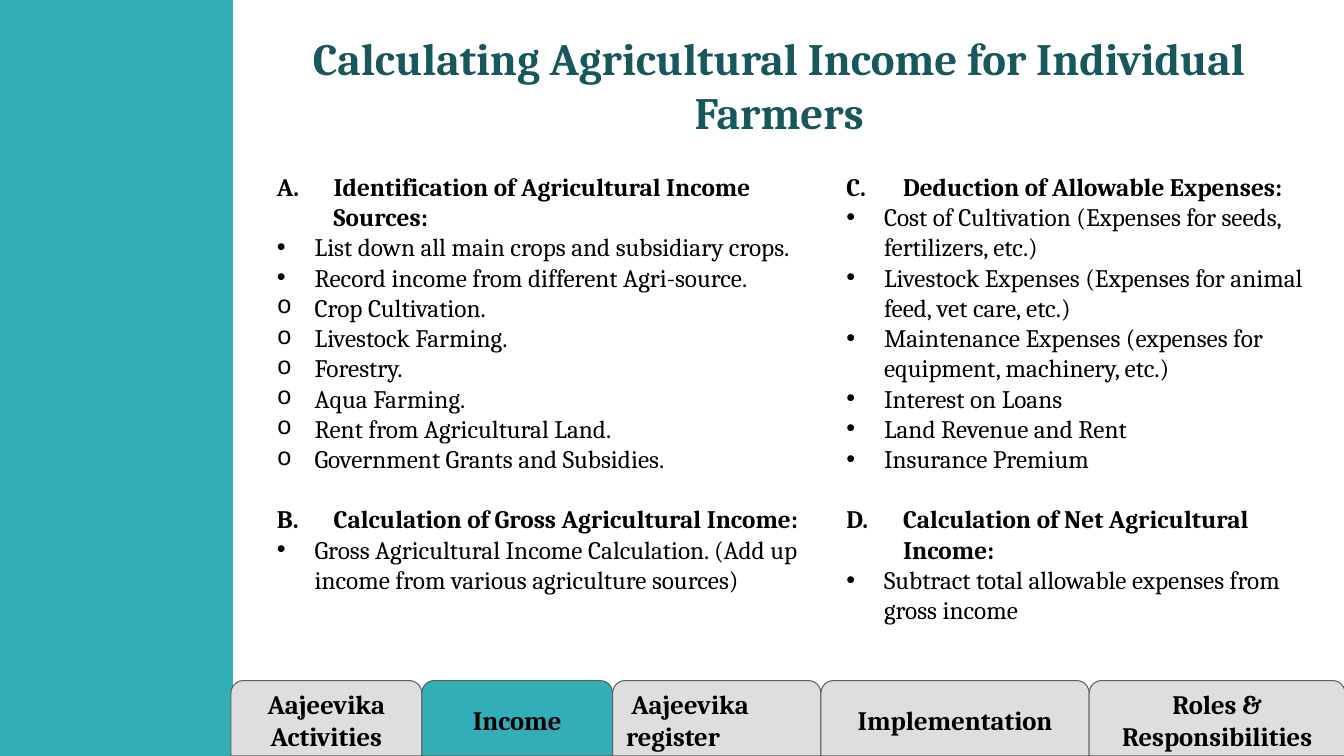
from dataclasses import dataclass

from lxml.etree import SubElement
from pptx import Presentation
from pptx.dml.color import RGBColor
from pptx.enum.shapes import MSO_SHAPE
from pptx.enum.text import MSO_ANCHOR, PP_ALIGN
from pptx.oxml.ns import qn
from pptx.util import Cm, Pt


@dataclass(frozen=True)
class Theme:
    font: str = "Cambria"
    teal: RGBColor = RGBColor(0x32, 0xAE, 0xB8)
    dark_teal: RGBColor = RGBColor(0x18, 0x57, 0x5C)
    grey: RGBColor = RGBColor(0xDE, 0xDE, 0xDE)
    outline: RGBColor = RGBColor(0x5E, 0x5E, 0x5E)
    black: RGBColor = RGBColor(0, 0, 0)
    title_size: float = 32
    body_size: float = 18
    tab_size: float = 19
    section_gap: float = 21.5


THEME = Theme()
HEADING, BULLET, CIRCLE = "heading", "•", "o"
BULLET_FONTS = {BULLET: "Arial", CIRCLE: "Courier New"}

INCOME = [
    (HEADING, "Identification of Agricultural Income Sources:"),
    (BULLET, "List down all main crops and subsidiary crops."),
    (BULLET, "Record income from different Agri-source."),
    (CIRCLE, "Crop Cultivation."),
    (CIRCLE, "Livestock Farming."),
    (CIRCLE, "Forestry."),
    (CIRCLE, "Aqua Farming."),
    (CIRCLE, "Rent from Agricultural Land."),
    (CIRCLE, "Government Grants and Subsidies."),
    (HEADING, "Calculation of Gross Agricultural Income:"),
    (BULLET, "Gross Agricultural Income Calculation. (Add up income from "
             "various agriculture sources)"),
]
EXPENSES = [
    (HEADING, "Deduction of Allowable Expenses:"),
    (BULLET, "Cost of Cultivation (Expenses for seeds, fertilizers, etc.)"),
    (BULLET, "Livestock Expenses (Expenses for animal feed, vet care, etc.)"),
    (BULLET, "Maintenance Expenses (expenses for equipment, machinery, etc.)"),
    (BULLET, "Interest on Loans"),
    (BULLET, "Land Revenue and Rent"),
    (BULLET, "Insurance Premium"),
    (HEADING, "Calculation of Net Agricultural Income:"),
    (BULLET, "Subtract total allowable expenses from gross income"),
]
# label, width in cm, alignment, first-line indent in cm
TABS = [
    ("Aajeevika Activities", 4.81, PP_ALIGN.CENTER, 0),
    ("Income", 4.81, PP_ALIGN.CENTER, 0),
    ("Aajeevika register", 5.25, PP_ALIGN.LEFT, 0.13),
    ("Implementation", 6.76, PP_ALIGN.CENTER, 0),
    ("Roles & Responsibilities", 6.45, PP_ALIGN.CENTER, 0),
]
ACTIVE_TAB = "Income"


def style(p, size, color, bold):
    for r in p.runs:
        r.font.name = THEME.font
        r.font.size = Pt(size)
        r.font.color.rgb = color
        r.font.bold = bold


def set_indent(p, margin, first_line):
    pPr = p._p.get_or_add_pPr()
    pPr.set("marL", str(Cm(margin)))
    pPr.set("indent", str(Cm(first_line)))
    return pPr


def add_text_frame(s, left, top, width, height):
    tf = s.shapes.add_textbox(Cm(left), Cm(top), Cm(width), Cm(height)).text_frame
    tf.word_wrap = True
    return tf


def add_sidebar(s, left, top, width, height):
    sp = s.shapes.add_shape(MSO_SHAPE.RECTANGLE, Cm(left), Cm(top), Cm(width), Cm(height))
    sp.shadow.inherit = False
    sp.fill.solid()
    sp.fill.fore_color.rgb = THEME.teal
    sp.line.fill.background()


def add_title(s, text, left, top, width, height):
    tf = add_text_frame(s, left, top, width, height)
    tf.text = text
    p = tf.paragraphs[0]
    p.alignment = PP_ALIGN.CENTER
    style(p, THEME.title_size, THEME.dark_teal, True)


def add_outline(s, items, first_letter, left, top, width, height):
    """Place a column of lettered headings (1 = A) with bulleted lines."""
    tf = add_text_frame(s, left, top, width, height)
    letter = first_letter
    for i, (kind, text) in enumerate(items):
        p = tf.paragraphs[0] if i == 0 else tf.add_paragraph()
        p.text = text
        is_heading = kind == HEADING
        if is_heading and i:
            p.space_before = Pt(THEME.section_gap)
        hang = 1.43 if is_heading else 0.95
        pPr = set_indent(p, hang, -hang)
        if is_heading:
            SubElement(pPr, qn("a:buFont"), typeface="+mj-lt")
            SubElement(pPr, qn("a:buAutoNum"), type="alphaUcPeriod", startAt=str(letter))
            letter += 1
        else:
            SubElement(pPr, qn("a:buFont"), typeface=BULLET_FONTS[kind])
            SubElement(pPr, qn("a:buChar"), char=kind)
        style(p, THEME.body_size, THEME.black, is_heading)


def add_tabs(s, left, top, height):
    for label, width, alignment, first_line in TABS:
        sp = s.shapes.add_shape(MSO_SHAPE.ROUND_2_SAME_RECTANGLE,
                                Cm(left), Cm(top), Cm(width), Cm(height))
        sp.shadow.inherit = False
        sp.fill.solid()
        sp.fill.fore_color.rgb = THEME.teal if label == ACTIVE_TAB else THEME.grey
        sp.line.color.rgb = THEME.outline
        sp.line.width = Pt(0.75)
        tf = sp.text_frame
        tf.margin_left = tf.margin_right = tf.margin_top = tf.margin_bottom = Cm(0.25)
        tf.vertical_anchor = MSO_ANCHOR.MIDDLE
        tf.word_wrap = True
        tf.text = label
        p = tf.paragraphs[0]
        p.alignment = alignment
        set_indent(p, 0, first_line)
        style(p, THEME.tab_size, THEME.black, True)
        left += width


def main():
    prs = Presentation()
    prs.slide_width, prs.slide_height = Cm(33.87), Cm(19.05)
    s = prs.slides.add_slide(prs.slide_layouts[6])
    add_sidebar(s, 0, 0, 5.87, 19.05)
    add_title(s, "Calculating Agricultural Income for Individual Farmers",
              6, 0.66, 27.28, 2)
    add_outline(s, INCOME, 1, 6.73, 4.19, 14.35, 13.36)
    add_outline(s, EXPENSES, 3, 21.08, 4.19, 12.22, 13.69)
    add_tabs(s, 5.82, 17.15, 1.9)
    prs.save("out.pptx")


if __name__ == "__main__":
    main()
